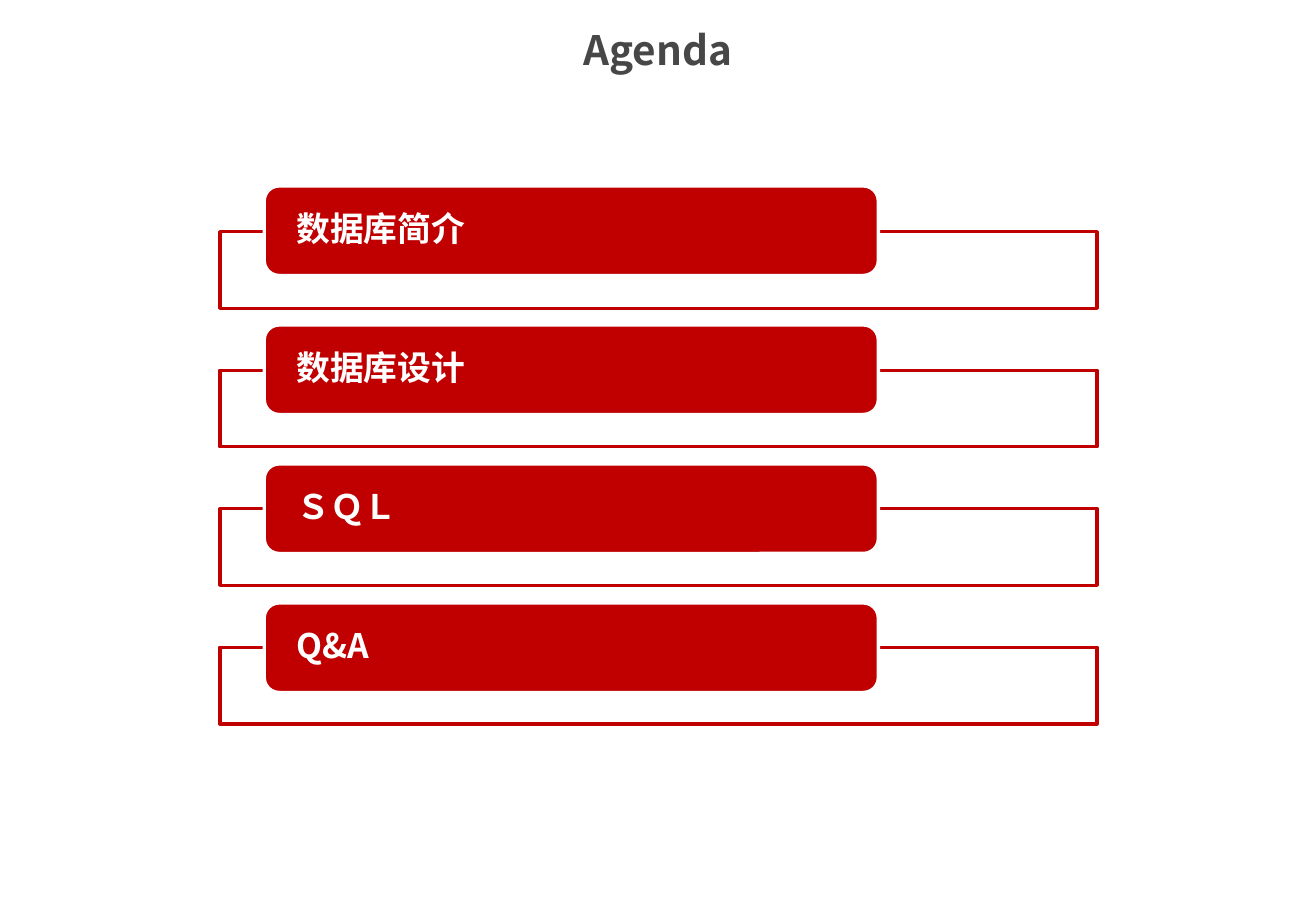
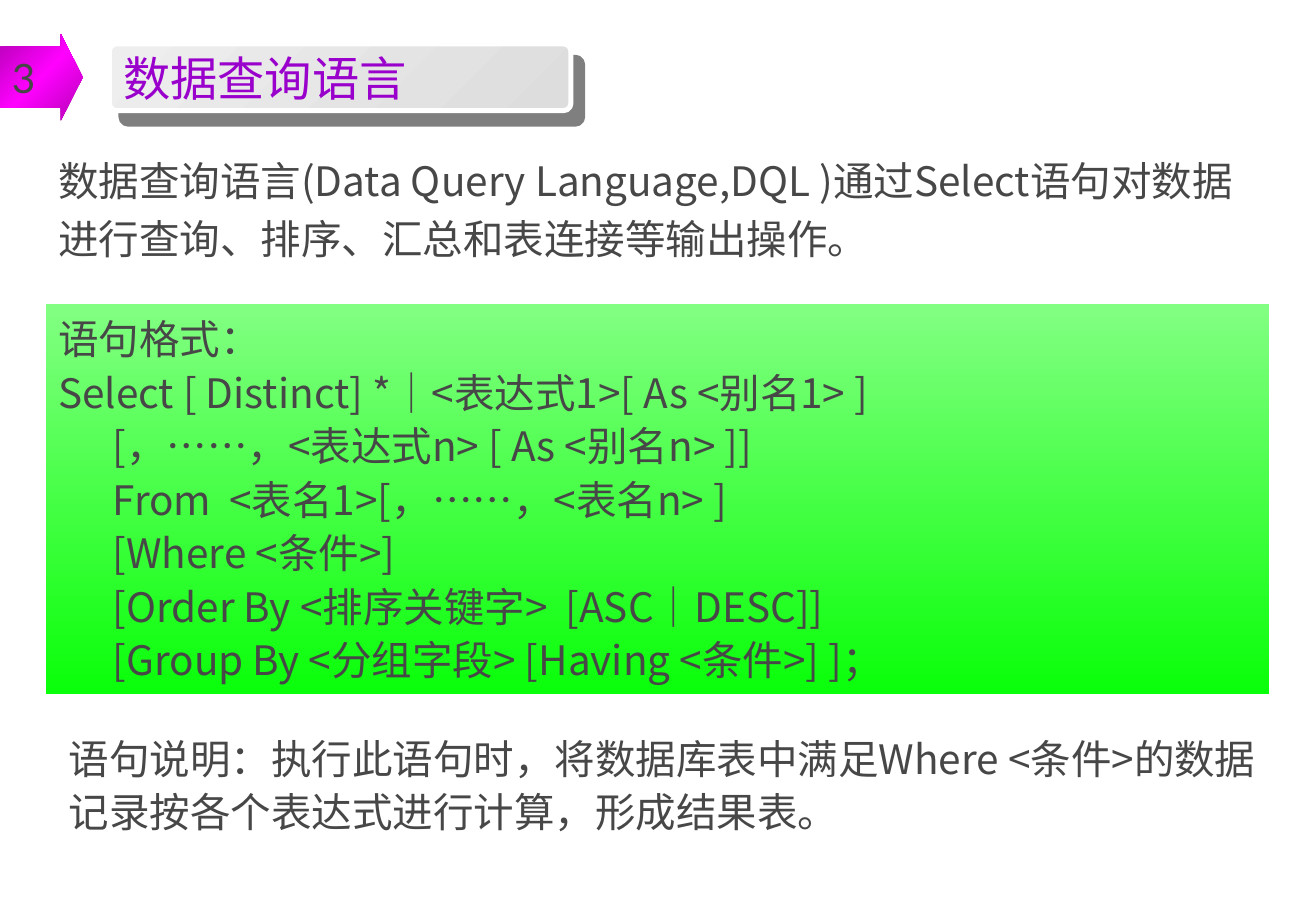
from copy import deepcopy
from pptx import Presentation
from pptx.dml.color import RGBColor as RGB
from pptx.enum.shapes import MSO_SHAPE as Kind
from pptx.enum.text import MSO_ANCHOR as Anchor, PP_ALIGN as Align
from pptx.oxml import parse_xml
from pptx.oxml.ns import nsdecls, qn
from pptx.util import Pt


class Theme:
    red, white, ink, purple = "C00000", "FFFFFF", "474747", "9900CC"
    magenta = ("B601B6", "FF01FF", "B601B6")
    silver = ("EEEEEE", "DDDDDD")
    green = ("82FF82", "0AFF0A")
    cjk, latin = "Noto Sans CJK SC", "Lato"
    item, body, head = 20, 24, 28


def draw(slide, kind, box, fill, line=None, width=2, angle=0, adjust=()):
    """Add a preset shape; a tuple of colours makes a gradient."""
    shape = slide.shapes.add_shape(kind, *map(Pt, box))
    shape.shadow.inherit = False
    for i, value in enumerate(adjust):
        shape.adjustments[i] = value
    if isinstance(fill, tuple):
        shape.fill.gradient()
        shape.fill.gradient_angle = 360 - angle
        stops = shape._element.spPr.find(".//" + qn("a:gsLst"))
        while len(stops) < len(fill):
            stops.append(deepcopy(stops[-1]))
        for i, (stop, color) in enumerate(zip(shape.fill.gradient_stops, fill)):
            stop.color.rgb = RGB.from_string(color)
            stop.position = i / (len(fill) - 1)
    else:
        shape.fill.solid()
        shape.fill.fore_color.rgb = RGB.from_string(fill)
    if line:
        shape.line.color.rgb = RGB.from_string(line)
        shape.line.width = Pt(width)
    else:
        shape.line.fill.background()
    return shape


def write(shape, lines, size=Theme.body, color=Theme.ink, face=Theme.cjk, bold=False,
          align=Align.LEFT, anchor=Anchor.MIDDLE, space=1.0, inset=(7.2, 3.6)):
    """Fill a shape with paragraphs of one style."""
    frame = shape.text_frame
    frame.word_wrap = True
    frame.vertical_anchor = anchor
    frame.margin_left = frame.margin_right = Pt(inset[0])
    frame.margin_top = frame.margin_bottom = Pt(inset[1])
    frame.text = "\n".join(lines)
    for para in frame.paragraphs:
        para.alignment, para.line_spacing = align, space
        font = para.font
        font.name, font.size, font.bold = face, Pt(size), bold
        font.color.rgb = RGB.from_string(color)
        font._element.find(qn("a:latin")).addnext(
            parse_xml(f'<a:ea {nsdecls("a")} typeface="{Theme.cjk}"/>'))
    return frame


deck = Presentation()
deck.slide_width, deck.slide_height = Pt(780), Pt(540)
blank = deck.slide_layouts[6]

# Agenda: title
agenda = deck.slides.add_slide(blank)
title = agenda.shapes.add_textbox(Pt(39), Pt(15), Pt(702), Pt(27))
write(title, ["Agenda"], bold=True, align=Align.CENTER, anchor=Anchor.TOP, inset=(7.2, 0))

# Agenda: a framed bar for each topic
for i, topic in enumerate(["数据库简介", "数据库设计", "ＳＱＬ", "Q&A"]):
    draw(agenda, Kind.RECTANGLE, (130.3, 137.4 + 82.1 * i, 520, 45.4), Theme.white, Theme.red)
    bar = draw(agenda, Kind.ROUNDED_RECTANGLE, (156.6, 110.2 + 82.4 * i, 364, 53.1),
               Theme.red, Theme.white)
    write(bar, [topic], Theme.item, Theme.white, bold=True, space=0.9, inset=(16.4, 0))

# Query language: number arrow
query = deck.slides.add_slide(blank)
arrow = draw(query, Kind.RIGHT_ARROW, (0, 20.2, 49, 51.1), Theme.magenta,
             angle=45, adjust=(0.711, 0.263))
write(arrow, ["3"], face=Theme.latin)

# Query language: heading plate with a hard shadow
plate = draw(query, Kind.ROUNDED_RECTANGLE, (64.8, 26, 273.6, 39.6), Theme.silver,
             Theme.white, 3, angle=45, adjust=(0.109,))
plate._element.spPr.find(qn("a:effectLst")).append(parse_xml(
    f'<a:outerShdw {nsdecls("a")} blurRad="0" dist="{Pt(10.6)}" dir="{49 * 60000}" algn="ctr" '
    'rotWithShape="0"><a:srgbClr val="000000"><a:alpha val="50000"/></a:srgbClr></a:outerShdw>'))
write(plate, ["数据查询语言"], Theme.head, Theme.purple, Theme.latin)

# Query language: introduction
intro = query.shapes.add_textbox(Pt(27.4), Pt(82.8), Pt(725), Pt(77))
write(intro, ["数据查询语言(Data Query Language,DQL )通过Select语句对数据进行查询、排序、"
              "汇总和表连接等输出操作。"], space=1.2)

# Query language: syntax panel, clauses indented
panel = draw(query, Kind.RECTANGLE, (27.4, 180, 725, 231.4), Theme.green, angle=90)
syntax = write(panel, [
    "语句格式：",
    "Select [ Distinct] *｜<表达式1>[ As <别名1> ]",
    "[，……，<表达式n> [ As <别名n> ]]",
    "From  <表名1>[，……，<表名n> ]",
    "[Where <条件>]",
    "[Order By <排序关键字>  [ASC｜DESC]]",
    "[Group By <分组字段> [Having <条件>] ]；",
], anchor=Anchor.TOP, space=1.1)
for clause in syntax.paragraphs[2:]:
    clause._p.get_or_add_pPr().set("marL", str(Pt(32.3)))

# Query language: explanation
note = query.shapes.add_textbox(Pt(33.8), Pt(428.4), Pt(718.6), Pt(71.3))
write(note, ["语句说明：执行此语句时，将数据库表中满足Where <条件>的数据记录按各个表达式"
             "进行计算，形成结果表。"], anchor=Anchor.TOP, space=1.1)

deck.save("out.pptx")
